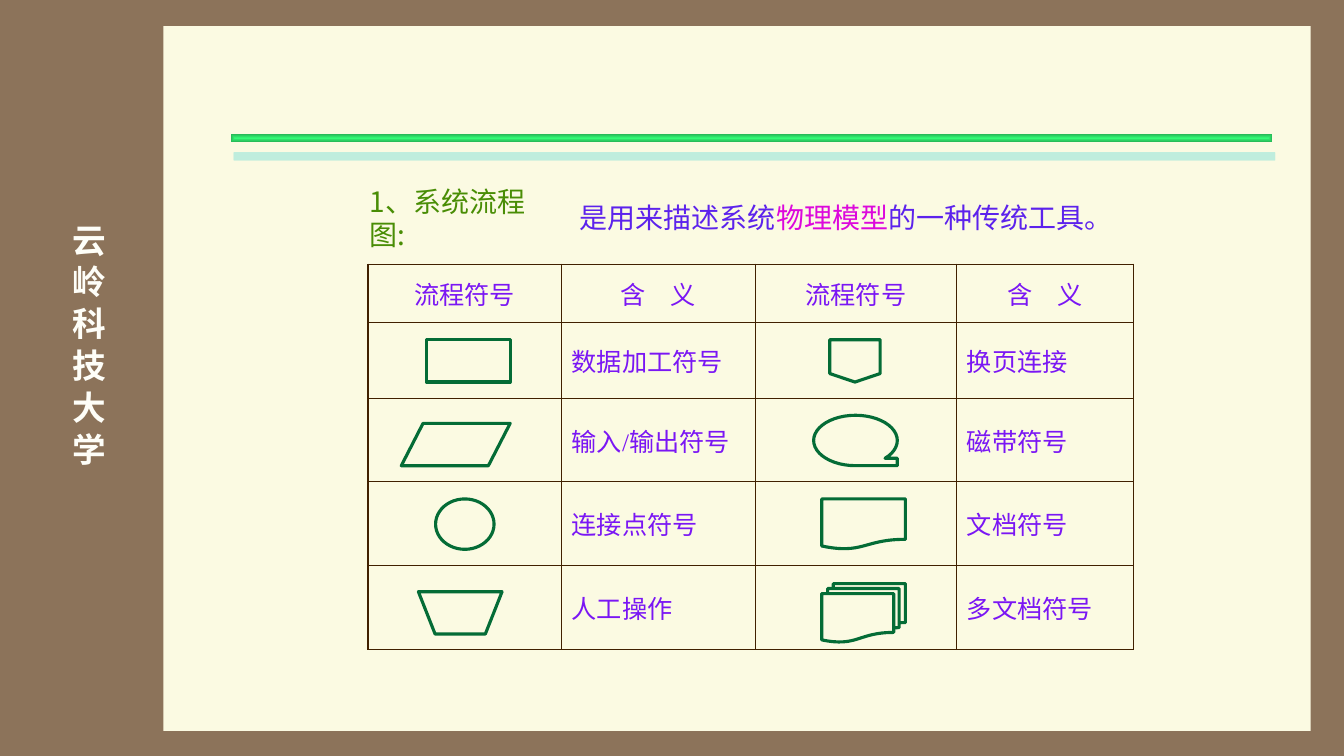
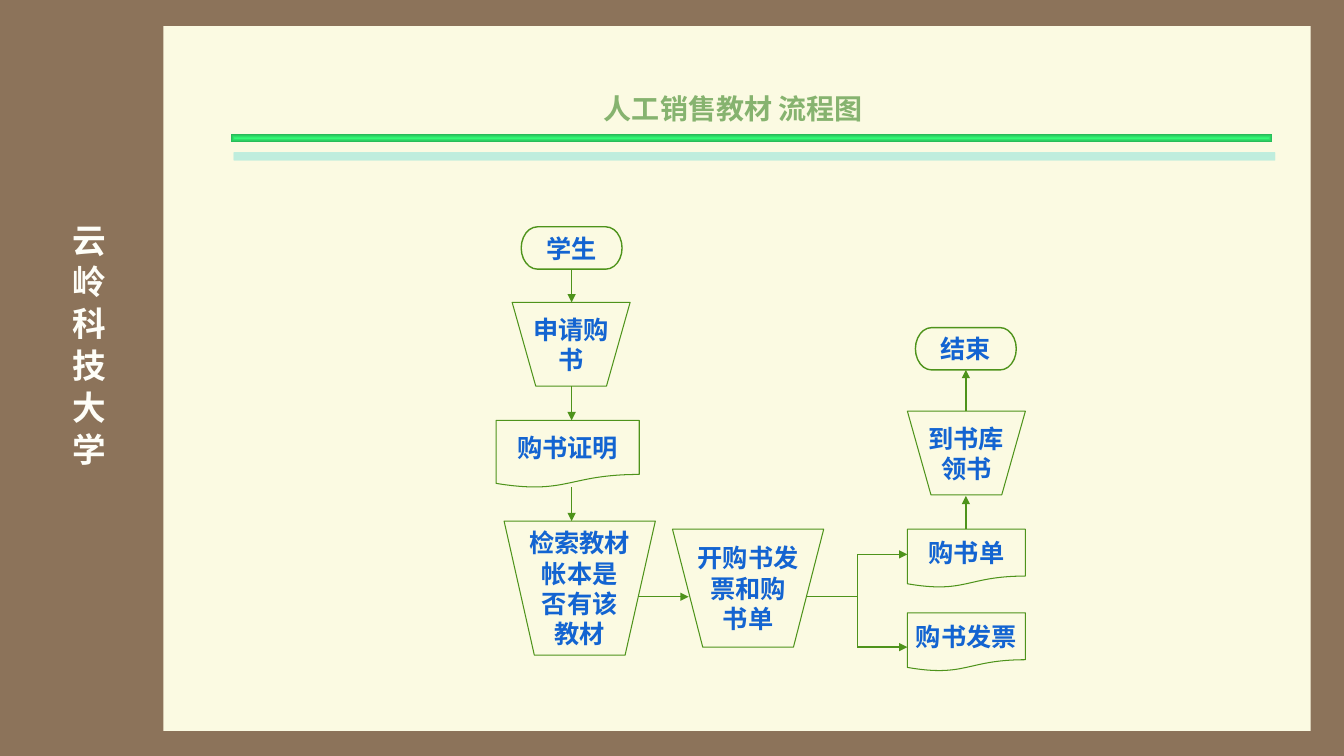
from dataclasses import dataclass
from typing import Any, NamedTuple

from lxml.etree import SubElement
from pptx import Presentation
from pptx.dml.color import RGBColor as Rgb
from pptx.enum.shapes import MSO_CONNECTOR as Link, MSO_SHAPE as Geo
from pptx.enum.text import MSO_ANCHOR as Anchor, MSO_AUTO_SIZE as Fit, PP_ALIGN as Align
from pptx.oxml import parse_xml
from pptx.oxml.ns import nsdecls, qn
from pptx.util import Inches, Pt


@dataclass(frozen=True)
class Theme:
    frame: str = "8C735A"
    page: str = "FBFAE2"
    side: str = "FEFEF8"
    glow: str = "34FA76"
    edge: str = "25B354"
    shade: str = "84E2D9"
    lead: str = "498D05"
    body: str = "5C22EC"
    mark: str = "DC08DC"
    cell: str = "7A16F4"
    grid: str = "402000"
    sign: str = "046C36"
    title: str = "86B36F"
    flow: str = "4E931B"
    node: str = "1364D1"
    latin: str = "Times New Roman"
    asian: str = "Noto Sans CJK SC"
    large: int = 24
    head: int = 20
    text: int = 18


T = Theme()


class Box(NamedTuple):
    x: float
    y: float
    w: float
    h: float


class Sign(NamedTuple):
    geo: Any
    box: Box


class Node(NamedTuple):
    geo: Any
    box: Box
    lines: tuple[str, ...]


class Line(NamedTuple):
    x1: float
    y1: float
    x2: float
    y2: float
    arrow: bool = True
    width: float = 1


HEADS = ("流程符号", "含　义")
NAMES = (
    ("数据加工符号", "换页连接"),
    ("输入/输出符号", "磁带符号"),
    ("连接点符号", "文档符号"),
    ("人工操作", "多文档符号"),
)
COLS = (1.92, 1.92, 2, 1.75)
ROWS = (0.58, 0.75, 0.83, 0.83, 0.83)

SIGNS = (
    Sign(Geo.RECTANGLE, Box(4.23, 3.37, 0.83, 0.42)),
    Sign(Geo.FLOWCHART_DATA, Box(3.98, 4.2, 1.08, 0.42)),
    Sign(Geo.FLOWCHART_CONNECTOR, Box(4.32, 4.95, 0.58, 0.5)),
    Sign(Geo.FLOWCHART_MANUAL_OPERATION, Box(4.15, 5.87, 0.83, 0.42)),
    Sign(Geo.FLOWCHART_OFFPAGE_CONNECTOR, Box(8.23, 3.37, 0.5, 0.42)),
    Sign(Geo.FLOWCHART_SEQUENTIAL_ACCESS_STORAGE, Box(8.07, 4.12, 0.83, 0.5)),
    Sign(Geo.FLOWCHART_DOCUMENT, Box(8.15, 4.95, 0.83, 0.5)),
    Sign(Geo.FLOWCHART_MULTIDOCUMENT, Box(8.15, 5.79, 0.83, 0.58)),
)

END, TASK, DOC = Geo.FLOWCHART_TERMINATOR, Geo.FLOWCHART_MANUAL_OPERATION, Geo.FLOWCHART_DOCUMENT
NODES = (
    Node(END, Box(5.17, 2.25, 1, 0.42), ("学生",)),
    Node(TASK, Box(5.08, 3, 1.17, 0.83), ("申请购", "书")),
    Node(DOC, Box(4.92, 4.17, 1.42, 0.67), ("购书证明",)),
    Node(TASK, Box(5, 5.17, 1.5, 1.33), ("检索教材", "帐本是", "否有该", "教材")),
    Node(TASK, Box(6.67, 5.25, 1.5, 1.17), ("开购书发", "票和购", "书单")),
    Node(DOC, Box(9, 5.25, 1.17, 0.58), ("购书单",)),
    Node(DOC, Box(9, 6.08, 1.17, 0.58), ("购书发票",)),
    Node(TASK, Box(9, 4.08, 1.17, 0.83), ("到书库", "领书")),
    Node(END, Box(9.08, 3.25, 1, 0.42), ("结束",)),
)
LINES = (
    Line(5.67, 2.67, 5.67, 3),
    Line(5.67, 3.83, 5.67, 4.17),
    Line(5.67, 4.83, 5.67, 5.17),
    Line(6.33, 5.92, 6.83, 5.92),
    Line(8, 5.92, 8.5, 5.92, False),
    Line(8.5, 5.5, 8.5, 6.42, False, 0.75),
    Line(8.5, 5.5, 9, 5.5),
    Line(8.5, 6.42, 9, 6.42),
    Line(9.58, 5.25, 9.58, 4.92),
    Line(9.58, 4.08, 9.58, 3.67),
)


def place(box: Box) -> list[int]:
    return [Inches(v) for v in box]


def put(obj: Any, vals: dict[str, Any]) -> None:
    for name, val in vals.items():
        setattr(obj, name, val)


def tint(fill: Any, hue: str) -> None:
    fill.solid()
    fill.fore_color.rgb = Rgb.from_string(hue)


def add_run(para: Any, text: str, hue: str, size: int, bold: bool = False,
            face: str = T.latin) -> None:
    run = para.add_run()
    run.text = text
    put(run.font, {"size": Pt(size), "bold": bold, "name": face})
    run.font.color.rgb = Rgb.from_string(hue)
    SubElement(run.font._element, qn("a:ea")).set("typeface", T.asian)


def add_text(slide: Any, box: Box, **frame: Any) -> Any:
    shape = slide.shapes.add_textbox(*place(box))
    put(shape.text_frame, {"word_wrap": False, "vertical_anchor": Anchor.MIDDLE} | frame)
    return shape


def add_shape(slide: Any, geo: Any, box: Box, hue: str = T.page,
              line: str = "", width: float = 1) -> Any:
    shape = slide.shapes.add_shape(geo, *place(box))
    shape.shadow.inherit = False
    tint(shape.fill, hue)
    if line:
        tint(shape.line.fill, line)
        shape.line.width = Pt(width)
    else:
        shape.line.fill.background()
    return shape


def add_node(slide: Any, node: Node) -> None:
    width = 1 if node.geo == END else 0.75
    frame = add_shape(slide, node.geo, node.box, line=T.flow, width=width).text_frame
    put(frame, {"word_wrap": False, "vertical_anchor": Anchor.MIDDLE})
    for i, text in enumerate(node.lines):
        para = frame.add_paragraph() if i else frame.paragraphs[0]
        para.alignment = Align.CENTER
        add_run(para, text, T.node, T.text, True)


def add_line(slide: Any, line: Line) -> None:
    ends = [Inches(v) for v in line[:4]]
    link = slide.shapes.add_connector(Link.STRAIGHT, *ends)
    tint(link.line.fill, T.flow)
    link.line.width = Pt(line.width)
    if line.arrow:
        SubElement(link.line._get_or_add_ln(), qn("a:tailEnd")).set("type", "triangle")
    SubElement(link.element.spPr, qn("a:effectLst"))


def add_bar(slide: Any) -> Any:
    bar = add_shape(slide, Geo.RECTANGLE, Box(2.29, 1.33, 10.33, 0.08))
    bar.fill.gradient()
    for stop, hue in zip(bar.fill.gradient_stops, (T.glow, T.edge)):
        stop.color.rgb = Rgb.from_string(hue)
    props = bar.element.spPr
    grad = props.find(qn("a:gradFill"))
    grad.replace(grad.find(qn("a:lin")), parse_xml(
        f'<a:path {nsdecls("a")} path="shape">'
        '<a:fillToRect l="50000" t="50000" r="50000" b="50000"/></a:path>'))
    props.replace(props.find(qn("a:effectLst")), parse_xml(
        f'<a:effectLst {nsdecls("a")}><a:outerShdw blurRad="0" dist="{Pt(13.2)}" '
        f'dir="{81 * 60000}" algn="ctr" rotWithShape="0"><a:srgbClr val="{T.shade}">'
        '<a:alpha val="50000"/></a:srgbClr></a:outerShdw></a:effectLst>'))
    return bar


def set_master(deck: Any, slide: Any) -> None:
    master = deck.slide_master
    tint(master.background.fill, T.frame)
    page = add_shape(slide, Geo.RECTANGLE, Box(1.62, 0.26, 11.38, 6.99))
    side = add_text(slide, Box(0.52, 2.12, 0.6, 2.88),
                    word_wrap=True, vertical_anchor=Anchor.TOP)
    side.element.find(".//" + qn("a:bodyPr")).set("vert", "eaVert")
    add_run(side.text_frame.paragraphs[0], "云 岭 科 技 大 学", T.side, T.large, True)
    for i, shape in enumerate((page, side, add_bar(slide)), 100):
        shape.element.find(".//" + qn("p:cNvPr")).set("id", str(i))
        master.shapes.element.append(shape.element)


def set_cell(cell: Any, text: str, align: Any) -> None:
    cell.fill.background()
    cell.vertical_anchor = Anchor.MIDDLE
    if text:
        para = cell.text_frame.paragraphs[0]
        put(para, {"alignment": align, "space_before": Pt(3.6)})
        add_run(para, text, T.cell, T.text)
    props = cell._tc.get_or_add_tcPr()
    for i, side in enumerate("LRTB"):
        props.insert(i, parse_xml(
            f'<a:ln{side} {nsdecls("a")} w="{Pt(1)}"><a:solidFill>'
            f'<a:srgbClr val="{T.grid}"/></a:solidFill></a:ln{side}>'))


def add_grid(slide: Any) -> None:
    box = Box(3.65, 2.62, sum(COLS), sum(ROWS))
    table = slide.shapes.add_table(len(ROWS), len(COLS), *place(box)).table
    put(table, {"first_row": False, "horz_banding": False})
    for col, width in zip(table.columns, COLS):
        col.width = Inches(width)
    for row, height in zip(table.rows, ROWS):
        row.height = Inches(height)
    rows = [HEADS * 2] + [("", left, "", right) for left, right in NAMES]
    for r, texts in enumerate(rows):
        for c, text in enumerate(texts):
            set_cell(table.cell(r, c), text, Align.LEFT if r else Align.CENTER)


def draw_signs(slide: Any) -> None:
    lead = add_text(slide, Box(3.57, 1.95, 1.92, 0.42)).text_frame.paragraphs[0]
    add_run(lead, "1、系统流程图:", T.lead, T.head, face=T.asian)
    body = add_text(slide, Box(5.65, 1.95, 5.33, 0.42)).text_frame.paragraphs[0]
    for text, hue in (("是用来描述系统", T.body), ("物理模型", T.mark),
                      ("的一种传统工具。", T.body)):
        add_run(body, text, hue, T.head)
    add_grid(slide)
    for sign in SIGNS:
        add_shape(slide, sign.geo, sign.box, line=T.sign, width=2.25)


def draw_flow(slide: Any) -> None:
    title = slide.shapes.title
    put(title, dict(zip(("left", "top", "width", "height"),
                        place(Box(5.89, 0.86, 2.78, 0.44)))))
    put(title.text_frame, {"word_wrap": False, "auto_size": Fit.NONE,
                           "vertical_anchor": Anchor.TOP})
    para = title.text_frame.paragraphs[0]
    para.alignment = Align.LEFT
    add_run(para, "人工销售教材 流程图", T.title, T.head, True)
    for node in NODES:
        add_node(slide, node)
    for line in LINES:
        add_line(slide, line)


def main() -> None:
    deck = Presentation()
    put(deck, {"slide_width": Inches(13.33), "slide_height": Inches(7.5)})
    only, blank = deck.slide_layouts[5], deck.slide_layouts[6]
    signs = deck.slides.add_slide(blank)
    set_master(deck, signs)
    draw_signs(signs)
    draw_flow(deck.slides.add_slide(only))
    deck.save("out.pptx")


if __name__ == "__main__":
    main()
